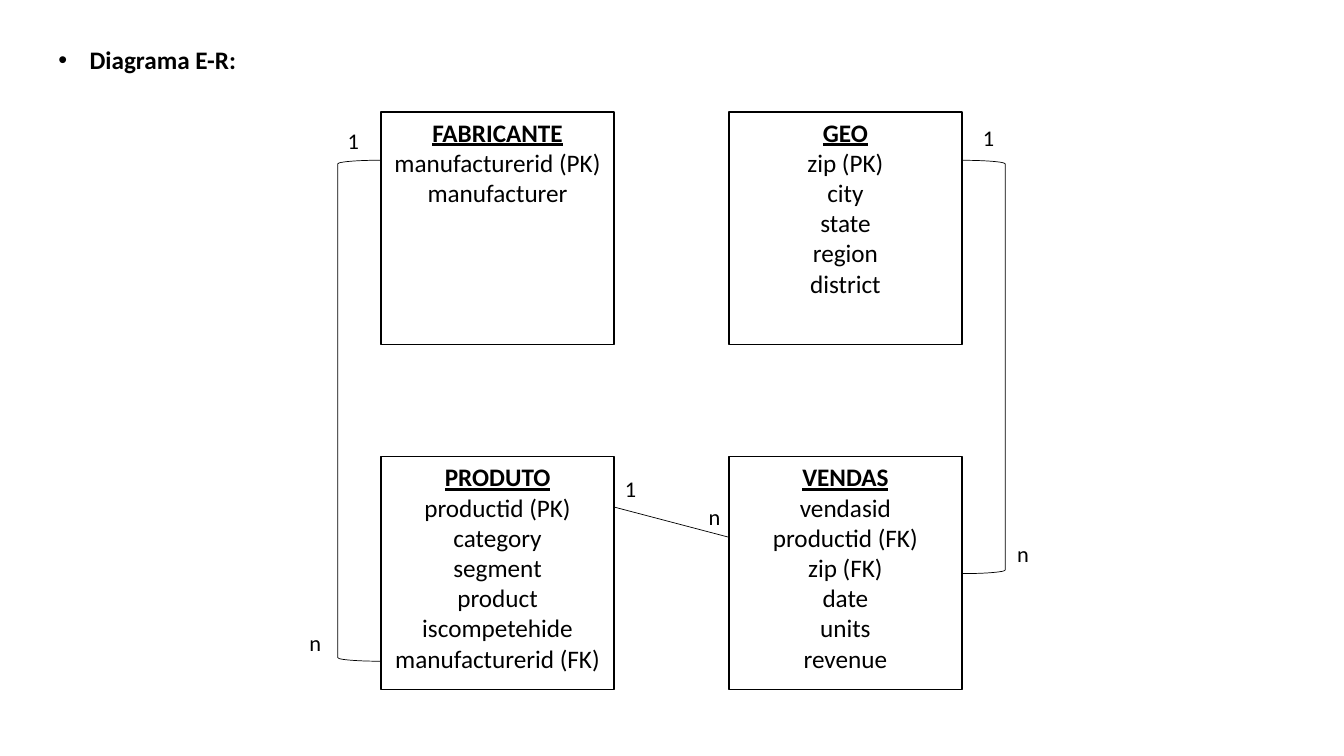
from lxml import etree
from pptx import Presentation
from pptx.dml.color import RGBColor
from pptx.enum.shapes import MSO_CONNECTOR, MSO_SHAPE
from pptx.enum.text import MSO_ANCHOR, MSO_AUTO_SIZE, PP_ALIGN
from pptx.oxml.ns import qn
from pptx.util import Inches, Pt

STRAIGHT = MSO_CONNECTOR.STRAIGHT
RECTANGLE = MSO_SHAPE.RECTANGLE
BRACKET = MSO_SHAPE.LEFT_BRACKET
TOP = MSO_ANCHOR.TOP
CENTER = PP_ALIGN.CENTER
FIT_SHAPE = MSO_AUTO_SIZE.SHAPE_TO_FIT_TEXT

COLORS = {"ink": "000000"}
FONT = "Calibri"

GRID_LEFT, GRID_TOP = 3.78, 1.11
COLUMN_STEP, ROW_STEP = 3.45, 3.42
SIDE = 2.31
BRACKET_WIDTH = 0.43
KEY_OFFSET = 0.48

ENTITIES = {
    "FABRICANTE": (0, 0, ["manufacturerid (PK)", "manufacturer"]),
    "GEO": (1, 0, ["zip (PK)", "city", "state", "region", "district"]),
    "PRODUTO": (0, 1, ["productid (PK)", "category", "segment", "product",
                       "iscompetehide", "manufacturerid (FK)"]),
    "VENDAS": (1, 1, ["vendasid", "productid (FK)", "zip (FK)", "date",
                      "units", "revenue"]),
}


def ink():
    return RGBColor.from_string(COLORS["ink"])


def style_run(run, size, bold=False, underline=False):
    run.font.name = FONT
    run.font.size = Pt(size)
    run.font.bold = bold
    run.font.underline = underline
    run.font.color.rgb = ink()


def outline(line, width):
    line.color.rgb = ink()
    line.width = Pt(width)


def add_outlined(slide, preset, box, width):
    shape = slide.shapes.add_shape(preset, *map(Inches, box))
    shape.shadow.inherit = False
    shape.fill.background()
    outline(shape.line, width)
    return shape


def add_label(slide, box, text, size, bold=False):
    label = slide.shapes.add_textbox(*map(Inches, box))
    frame = label.text_frame
    frame.word_wrap = False
    frame.auto_size = FIT_SHAPE
    frame.text = text
    style_run(frame.paragraphs[0].runs[0], size, bold)
    return frame.paragraphs[0]


def add_heading(slide, box, text):
    heading = add_label(slide, box, text, 18, True)
    properties = heading._p.get_or_add_pPr()
    properties.set("marL", str(Inches(0.31)))
    properties.set("indent", str(-Inches(0.31)))
    etree.SubElement(properties, qn("a:buFont")).set("typeface", "Arial")
    etree.SubElement(properties, qn("a:buChar")).set("char", "•")


def add_entity(slide, left, top, name, attributes):
    entity = add_outlined(slide, RECTANGLE, (left, top, SIDE, SIDE), 1)
    frame = entity.text_frame
    frame.word_wrap = True
    frame.vertical_anchor = TOP
    frame.text = "\n".join([name] + attributes)
    for index, paragraph in enumerate(frame.paragraphs):
        paragraph.alignment = CENTER
        style_run(paragraph.runs[0], 18, index == 0, index == 0)


def add_cardinality(slide, x, y, text):
    add_label(slide, (x, y, 0.32, 0.37), text, 16)


def add_bracket_relation(slide, left, top, height, rotation, one, many):
    bracket = add_outlined(slide, BRACKET, (left, top, BRACKET_WIDTH, height), 0.5)
    bracket.rotation = rotation
    add_cardinality(slide, left + one[0], top + one[1], "1")
    add_cardinality(slide, left + many[0], top + height + many[1], "n")


def add_direct_relation(slide, left, top, width, drop):
    relation = slide.shapes.add_connector(
        STRAIGHT, *map(Inches, (left, top, left + width, top + drop)))
    outline(relation.line, 0.5)
    etree.SubElement(relation._element.spPr, qn("a:effectLst"))
    add_cardinality(slide, left + 0.01, top - 0.37, "1")
    add_cardinality(slide, left + width - 0.3, top + drop - 0.39, "n")


def add_diagram(slide, left, top):
    for name, (column, row, attributes) in ENTITIES.items():
        add_entity(slide, left + column * COLUMN_STEP, top + row * ROW_STEP,
                   name, attributes)
    key_row = top + KEY_OFFSET
    add_bracket_relation(slide, left - BRACKET_WIDTH, key_row, 4.97, 0,
                         (0, -0.38), (-0.38, -0.37))
    add_bracket_relation(slide, left + COLUMN_STEP + SIDE, key_row, 4.1, 180,
                         (0.11, -0.41), (0.45, -0.38))
    add_direct_relation(slide, left + SIDE, top + ROW_STEP + 0.5,
                        COLUMN_STEP - SIDE, 0.3)


def main():
    deck = Presentation()
    deck.slide_width = Inches(13.33)
    deck.slide_height = Inches(7.5)
    slide = deck.slides.add_slide(deck.slide_layouts[6])
    add_heading(slide, (0.48, 0.39, 2.11, 0.4), "Diagrama E-R:")
    add_diagram(slide, GRID_LEFT, GRID_TOP)
    deck.save("out.pptx")


if __name__ == "__main__":
    main()
